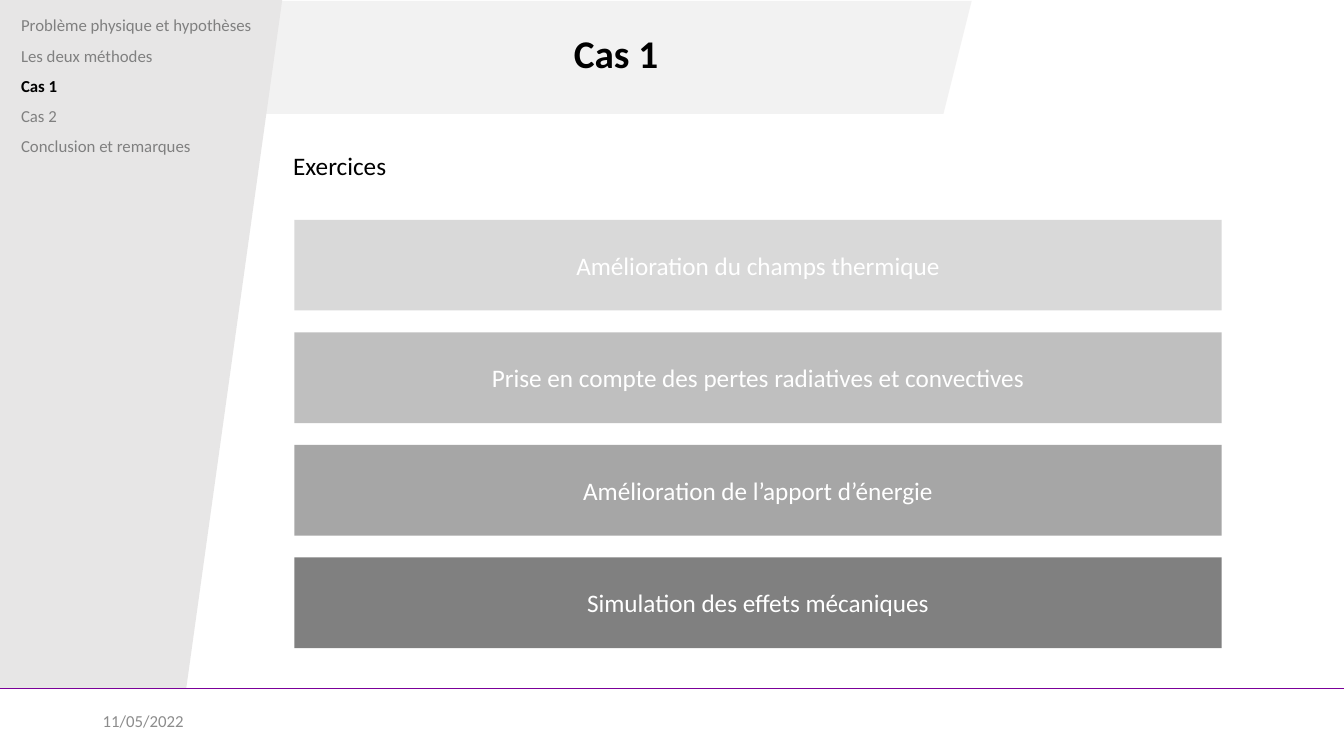
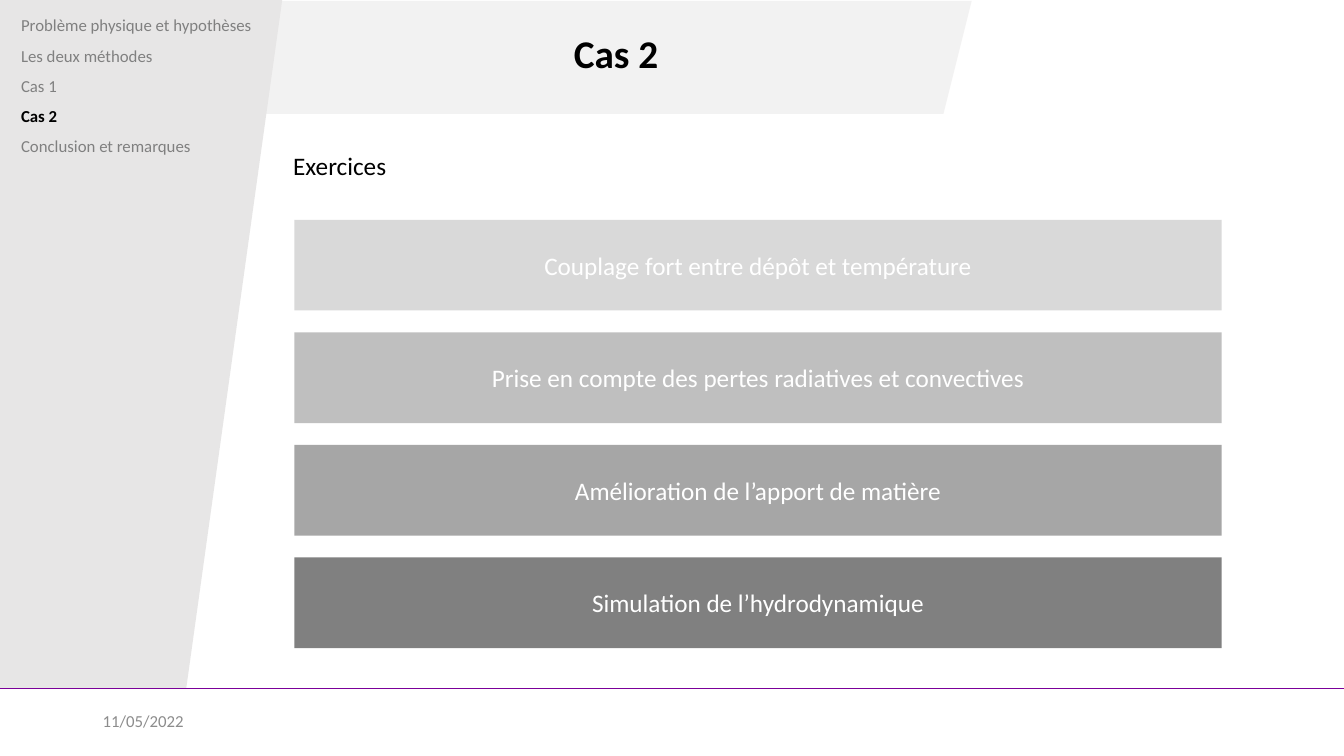
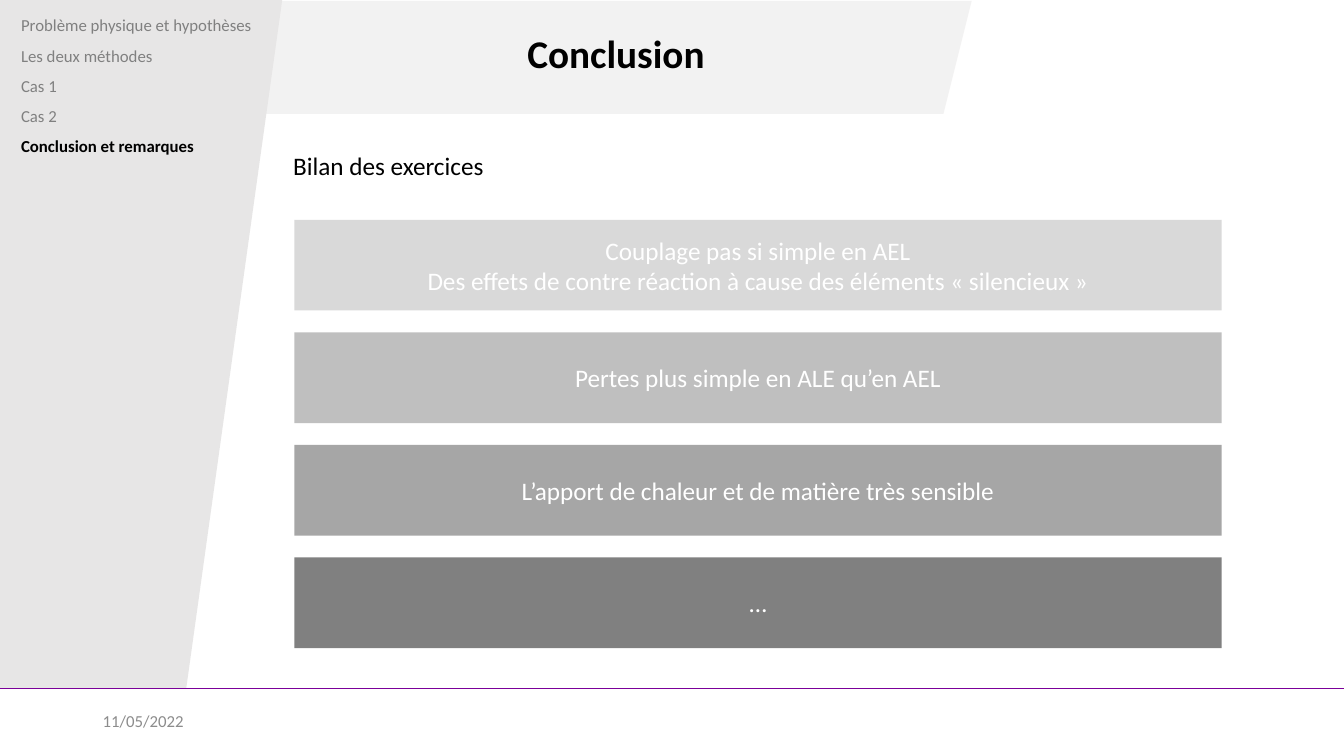
from collections import namedtuple

from lxml.etree import SubElement
from pptx import Presentation
from pptx.dml.color import RGBColor
from pptx.enum.shapes import MSO_CONNECTOR as Connector, MSO_SHAPE as Preset
from pptx.enum.text import MSO_ANCHOR as Anchor, MSO_AUTO_SIZE as AutoSize, PP_ALIGN as Align
from pptx.oxml.ns import qn
from pptx.util import Inches, Pt

WIDTH, HEIGHT = Inches(13.33), Inches(7.5)
FONT = "Calibri"
BLACK, WHITE, MUTED, DATE_GREY = "000000", "FFFFFF", "808080", "8C8C8C"
SIDEBAR_GREY, BAND_GREY, RULE_PURPLE = "D0CECE", "E7E6E6", "7B0099"
BAR_GREYS = ["D9D9D9", "BFBFBF", "A6A6A6", "808080"]
BAR_GAP = 0.24

Box = namedtuple("Box", "left top width height")


def share(left, top, width, height):
    """Turn percentages of the slide's size into a box."""
    return Box(int(WIDTH * left / 100), int(HEIGHT * top / 100),
               int(WIDTH * width / 100), int(HEIGHT * height / 100))


SIDEBAR = share(0, 0, 21, 91.07)
BAND = share(13.8, 0.13, 58.5, 14.93)
RULE = share(0, 91.07, 100, 0)
DATE = share(6.9, 92.67, 22.5, 5.33)
TITLE = share(21.9, 3.87, 47.86, 8)
AGENDA = share(0.83, 0, 19.35, 21.07)
TOPIC = share(21.08, 19.2, 69, 5.33)
BARS = share(21.9, 29.07, 69, 56.67)

SECTIONS = ["Problème physique et hypothèses", "Les deux méthodes", "Cas 1", "Cas 2",
            "Conclusion et remarques"]

SLIDES = [
    ("Cas 1", "Cas 1", "Exercices",
     ["Amélioration du champs thermique",
      "Prise en compte des pertes radiatives et convectives",
      "Amélioration de l’apport d’énergie",
      "Simulation des effets mécaniques"]),
    ("Cas 2", "Cas 2", "Exercices",
     ["Couplage fort entre dépôt et température",
      "Prise en compte des pertes radiatives et convectives",
      "Amélioration de l’apport de matière",
      "Simulation de l’hydrodynamique"]),
    ("Conclusion", "Conclusion et remarques", "Bilan des exercices",
     ["Couplage pas si simple en AEL\n"
      "Des effets de contre réaction à cause des éléments « silencieux »",
      "Pertes plus simple en ALE qu’en AEL",
      "L’apport de chaleur et de matière très sensible",
      "…"]),
]


def assign(target, values):
    """Set each named attribute of the target."""
    for name, value in values.items():
        setattr(target, name, value)


def paint(colour_format, hex_code):
    """Give a fill's or font's colour its hex value."""
    colour_format.rgb = RGBColor.from_string(hex_code)


def fill_plain(shape, hex_code, opacity=100):
    """Fill a shape without outline or shadow."""
    shape.shadow.inherit = False
    shape.line.fill.background()
    shape.fill.solid()
    paint(shape.fill.fore_color, hex_code)
    if opacity < 100:
        tint = shape._element.spPr.find(qn("a:solidFill")).find(qn("a:srgbClr"))
        SubElement(tint, qn("a:alpha"), val=str(opacity * 1000))


def write(frame, lines, size, hex_code, active=None, bold=False, anchor=Anchor.TOP, **layout):
    """Write lines of text, with the active one in bold black."""
    assign(frame, {"word_wrap": True, "auto_size": AutoSize.NONE, "vertical_anchor": anchor})
    for index, line in enumerate(lines):
        paragraph = frame.add_paragraph() if index else frame.paragraphs[0]
        assign(paragraph, layout)
        run = paragraph.add_run()
        run.text = line
        chosen = line == active
        assign(run.font, {"name": FONT, "size": Pt(size), "bold": bold or chosen})
        paint(run.font.color, BLACK if chosen else hex_code)


def add_sidebar(shapes, box):
    """Draw the slanted panel behind the agenda."""
    outline = shapes.build_freeform(box.left, box.top)
    bottom = box.top + box.height
    outline.add_line_segments([(box.left + box.width, box.top),
                               (box.left + int(box.width * 0.66), bottom),
                               (box.left, bottom)])
    fill_plain(outline.convert_to_shape(), SIDEBAR_GREY, 50)


def add_band(shapes, box):
    """Draw the slanted band behind the title."""
    band = shapes.add_shape(Preset.PARALLELOGRAM, *box)
    band.adjustments[0] = 0.25
    fill_plain(band, BAND_GREY, 50)


def add_footer(shapes, rule_box, date_box):
    """Draw the footer rule and the date below it."""
    rule = shapes.add_connector(Connector.STRAIGHT, rule_box.left, rule_box.top,
                                rule_box.left + rule_box.width, rule_box.top)
    rule.line.width = Pt(1)
    paint(rule.line.color, RULE_PURPLE)
    SubElement(rule._element.spPr, qn("a:effectLst"))
    date = shapes.add_textbox(*date_box)
    write(date.text_frame, ["11/05/2022"], 12, DATE_GREY, anchor=Anchor.MIDDLE)


def prepare_layout(layout, slide):
    """Move the shared decoration, drawn on a new slide, into its layout."""
    for holder in list(layout.placeholders):
        if holder.placeholder_format.idx:
            holder._element.getparent().remove(holder._element)
        else:
            assign(holder, TITLE._asdict())
    add_sidebar(slide.shapes, SIDEBAR)
    add_band(slide.shapes, BAND)
    add_footer(slide.shapes, RULE, DATE)
    for decoration in list(slide.shapes):
        if not decoration.is_placeholder:
            layout.shapes._spTree.append(decoration._element)


def add_bars(shapes, box, statements):
    """Stack the statements in equal bars that darken downwards."""
    count = len(statements)
    bar_height = box.height / (count + (count - 1) * BAR_GAP)
    for index, (statement, grey) in enumerate(zip(statements, BAR_GREYS)):
        top = box.top + int(index * bar_height * (1 + BAR_GAP))
        bar = shapes.add_shape(Preset.RECTANGLE, box.left, top, box.width, int(bar_height))
        fill_plain(bar, grey)
        write(bar.text_frame, statement.split("\n"), 18, WHITE,
              anchor=Anchor.MIDDLE, alignment=Align.CENTER)


def fill_slide(slide, title, section, topic, statements):
    """Place the title, agenda, topic and bars of one slide."""
    write(slide.shapes.title.text_frame, [title], 28, BLACK, bold=True,
          alignment=Align.CENTER, line_spacing=0.9)
    agenda = slide.shapes.add_textbox(*AGENDA)
    write(agenda.text_frame, SECTIONS, 12, MUTED, active=section, line_spacing=1.5)
    heading = slide.shapes.add_textbox(*TOPIC)
    write(heading.text_frame, [topic], 18, BLACK)
    add_bars(slide.shapes, BARS, statements)


def main():
    """Build and save the presentation."""
    deck = Presentation()
    assign(deck, {"slide_width": WIDTH, "slide_height": HEIGHT})
    layout = deck.slide_layouts[5]
    slides = [deck.slides.add_slide(layout) for _ in SLIDES]
    prepare_layout(layout, slides[0])
    for slide, content in zip(slides, SLIDES):
        fill_slide(slide, *content)
    deck.save("out.pptx")


if __name__ == "__main__":
    main()
